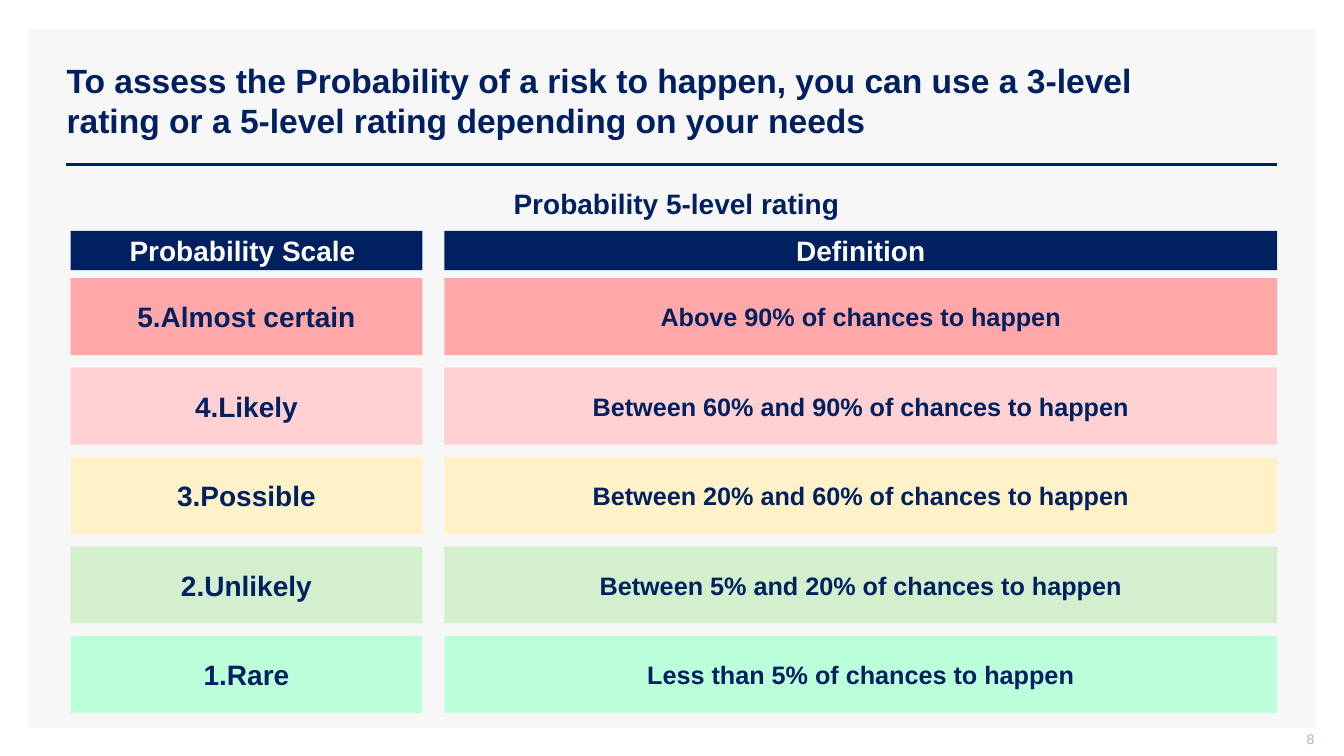
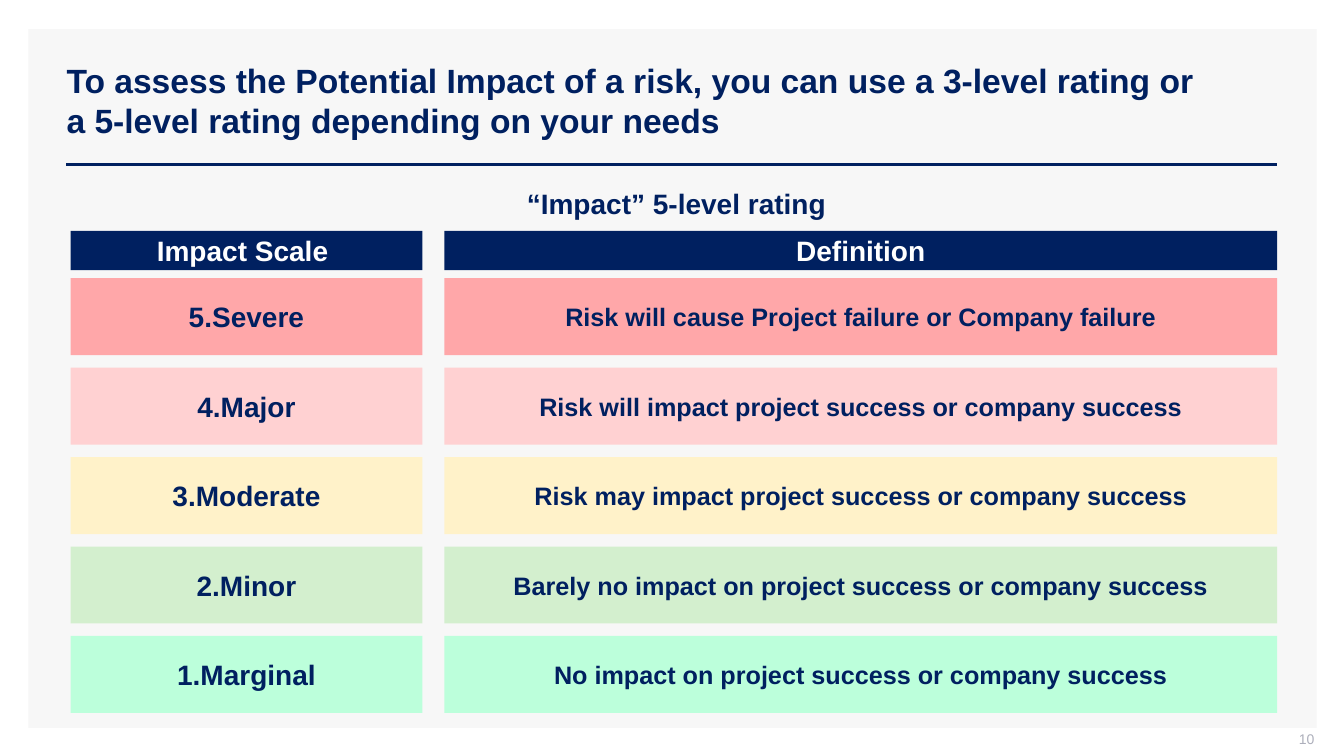
from pptx import Presentation
from pptx.dml.color import RGBColor
from pptx.enum.shapes import MSO_CONNECTOR, MSO_SHAPE
from pptx.enum.text import MSO_ANCHOR, MSO_AUTO_SIZE, PP_ALIGN
from pptx.oxml.ns import qn
from pptx.util import Pt
from lxml.etree import SubElement

NAVY = RGBColor(0x00, 0x20, 0x60)
WHITE = RGBColor(0xFF, 0xFF, 0xFF)
PANEL_GREY = RGBColor(0xF7, 0xF7, 0xF7)
NUMBER_GREY = RGBColor(0xAD, 0xAF, 0xBB)
LEVEL_COLOURS = [
    RGBColor(0xFF, 0xA7, 0xA9),
    RGBColor(0xFF, 0xD1, 0xD2),
    RGBColor(0xFF, 0xF2, 0xC9),
    RGBColor(0xD3, 0xEF, 0xCE),
    RGBColor(0xBC, 0xFF, 0xDB),
]

SCALE_COLUMN = (50.4, 251.3)
DEFINITION_COLUMN = (317.5, 594.7)
HEADER_TOP, HEADER_HEIGHT = 164.9, 28.1
ROWS_TOP, ROW_HEIGHT, ROW_STEP = 198.7, 55, 63.9

RATINGS = [
    {
        "title": "To assess the Probability of a risk to happen, you can use a 3-level rating "
                 "or a 5-level rating depending on your needs",
        "number": "8",
        "heading": "Probability 5-level rating ",
        "scale": "Probability Scale ",
        "levels": [
            ("5.Almost certain", "Above 90% of chances to happen"),
            ("4.Likely", "Between 60% and 90% of chances to happen"),
            ("3.Possible", "Between 20% and 60% of chances to happen"),
            ("2.Unlikely", "Between 5% and 20% of chances to happen"),
            ("1.Rare", "Less than 5% of chances to happen"),
        ],
    },
    {
        "title": "To assess the Potential Impact of a risk, you can use a 3-level rating "
                 "or a 5-level rating depending on your needs",
        "number": "10",
        "heading": "“Impact” 5-level rating ",
        "scale": "Impact Scale ",
        "levels": [
            ("5.Severe", "Risk will cause Project failure or Company failure"),
            ("4.Major", "Risk will impact project success or company success"),
            ("3.Moderate", "Risk may impact project success or company success"),
            ("2.Minor", "Barely no impact on project success or company success"),
            ("1.Marginal", "No impact on project success or company success"),
        ],
    },
]


def write(shape, text, size, colour=NAVY, align=PP_ALIGN.CENTER, bold=True):
    frame = shape.text_frame
    frame.word_wrap = True
    frame.auto_size = MSO_AUTO_SIZE.NONE
    frame.vertical_anchor = MSO_ANCHOR.MIDDLE
    para = frame.paragraphs[0]
    para.text = text
    para.alignment = align
    para.font.name = "Arial"
    para.font.size = Pt(size)
    para.font.bold = bold
    para.font.color.rgb = colour


def add_block(page, left, top, width, height, fill):
    block = page.shapes.add_shape(
        MSO_SHAPE.RECTANGLE, Pt(left), Pt(top), Pt(width), Pt(height))
    block.shadow.inherit = False
    block.fill.solid()
    block.fill.fore_color.rgb = fill
    block.line.fill.background()
    return block


deck = Presentation()
deck.slide_width = Pt(960)
deck.slide_height = Pt(540)
layout = deck.slide_layouts.get_by_name("Title Only")

for rating in RATINGS:
    page = deck.slides.add_slide(layout)

    panel = add_block(page, 20.2, 20.9, 920.2, 499, PANEL_GREY)
    rule = page.shapes.add_connector(
        MSO_CONNECTOR.STRAIGHT, Pt(47.5), Pt(117.5), Pt(912.2), Pt(117.5))
    rule.line.color.rgb = NAVY
    rule.line.width = Pt(2)
    SubElement(rule.element.spPr, qn("a:effectLst"))

    title = page.shapes.title
    title.left, title.top, title.width, title.height = Pt(40.3), Pt(28.8), Pt(832), Pt(85.7)
    write(title, rating["title"], 24, align=PP_ALIGN.LEFT)
    page.shapes.element.append(title.element)

    number = page.shapes.add_textbox(Pt(722.9), Pt(522), Pt(216), Pt(15))
    write(number, rating["number"], 10, NUMBER_GREY, PP_ALIGN.RIGHT, bold=False)
    number.text_frame.margin_top = number.text_frame.margin_right = 0

    heading = page.shapes.add_textbox(Pt(262.8), Pt(129.6), Pt(446.4), Pt(31.7))
    write(heading, rating["heading"], 20)

    columns = [(SCALE_COLUMN, rating["scale"], 20), (DEFINITION_COLUMN, "Definition", 18)]
    for index, ((left, width), header, size) in enumerate(columns):
        block = add_block(page, left, HEADER_TOP, width, HEADER_HEIGHT, NAVY)
        write(block, header, 20, WHITE)
        for row, (level, colour) in enumerate(zip(rating["levels"], LEVEL_COLOURS)):
            top = ROWS_TOP + row * ROW_STEP
            block = add_block(page, left, top, width, ROW_HEIGHT, colour)
            write(block, level[index], size)

deck.save("out.pptx")
